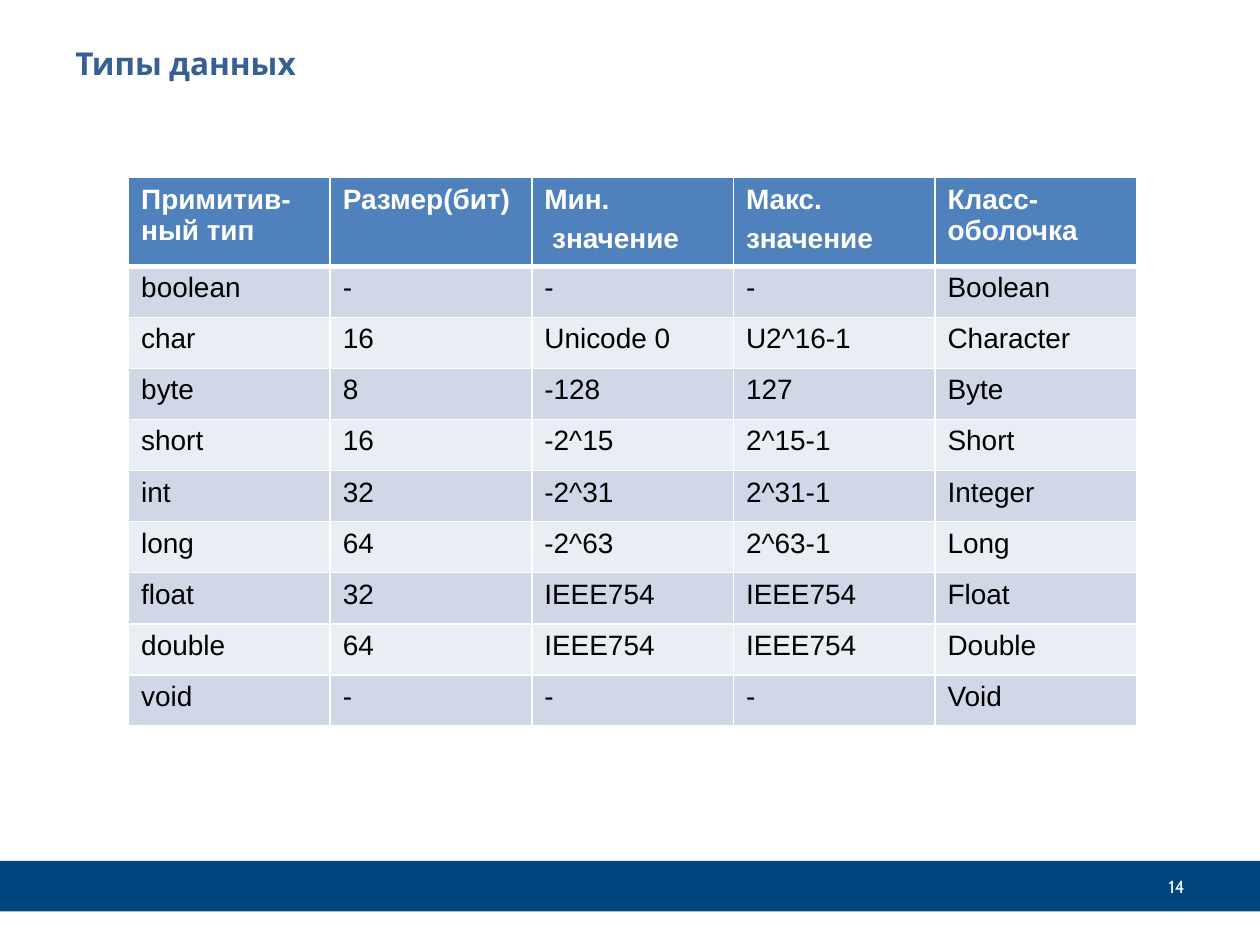
from dataclasses import dataclass
from lxml.etree import SubElement as Sub
from pptx import Presentation as Deck
from pptx.dml.color import RGBColor as Rgb
from pptx.enum.shapes import MSO_SHAPE as Kind
from pptx.enum.text import MSO_ANCHOR as Anchor, PP_ALIGN as Align
from pptx.oxml.ns import qn
from pptx.util import Pt


@dataclass(frozen=True)
class Theme:
    navy: str = "00467E"
    title: str = "376092"
    head: str = "4F81BD"
    bands: tuple = ("D0D8E8", "E9EDF4")
    white: str = "FFFFFF"
    black: str = "000000"
    big: int = 18
    body: int = 16
    small: int = 10
    sans: str = "Cabin"
    grid: str = "Arial"


class Painter:
    """Draws styled elements on the current slide."""

    def __init__(self, slide, theme):
        self.slide, self.theme = slide, theme

    def words(self, frame, text, color, gap=None, align=None, **form):
        for i, line in enumerate(text.split("\n")):
            para = frame.add_paragraph() if i else frame.paragraphs[0]
            para.alignment = align
            if gap:
                para.space_before = Pt(gap)
            run = para.add_run()
            run.text = line
            run.font.color.rgb = Rgb.from_string(color)
            for name, value in form.items():
                setattr(run.font, name, value)

    def label(self, box, text, color, anchor=Anchor.TOP, **form):
        frame = self.slide.shapes.add_textbox(*map(Pt, box)).text_frame
        frame.word_wrap = True
        frame.vertical_anchor = anchor
        self.words(frame, text, color, name=self.theme.sans, **form)

    def bar(self, box, color):
        shape = self.slide.shapes.add_shape(Kind.RECTANGLE, *map(Pt, box))
        shape.shadow.inherit = False
        shape.fill.solid()
        shape.fill.fore_color.rgb = Rgb.from_string(color)
        shape.line.fill.background()

    def edge(self, cell, sides):
        props = cell._tc.get_or_add_tcPr()
        for side, width in sides.items():
            line = Sub(props, qn(f"a:ln{side}"), w=str(Pt(width)))
            fill = Sub(line, qn("a:solidFill"))
            Sub(fill, qn("a:srgbClr"), val=self.theme.white)

    def table(self, box, rows, tall, gap):
        look = self.theme
        grid = self.slide.shapes.add_table(
            len(rows), len(rows[0]), *map(Pt, box)).table
        for col in grid.columns:
            col.width = Pt(box[2] / len(rows[0]))
        for r, row in enumerate(rows):
            grid.rows[r].height = Pt(tall[min(r, 1)])
            fill = look.bands[(r - 1) % 2] if r else look.head
            sides = {"L": 1, "R": 1, "T": 3 if r == 1 else 1, "B": 1 if r else 3}
            for c, text in enumerate(row):
                cell = grid.cell(r, c)
                self.edge(cell, sides)
                cell.fill.solid()
                cell.fill.fore_color.rgb = Rgb.from_string(fill)
                self.words(cell.text_frame, text, look.black if r else look.white,
                           gap=gap if "\n" in text else None, name=look.grid,
                           size=Pt(look.body), bold=not r)


ROWS = [
    ("Примитив-ный тип", "Размер(бит)", "Мин.\n значение",
     "Макс.\nзначение", "Класс-оболочка"),
    ("boolean", "-", "-", "-", "Boolean"),
    ("char", "16", "Unicode 0", "U2^16-1", "Character"),
    ("byte", "8", "-128", "127", "Byte"),
    ("short", "16", "-2^15", "2^15-1", "Short"),
    ("int", "32", "-2^31", "2^31-1", "Integer"),
    ("long", "64", "-2^63", "2^63-1", "Long"),
    ("float", "32", "IEEE754", "IEEE754", "Float"),
    ("double", "64", "IEEE754", "IEEE754", "Double"),
    ("void", "-", "-", "-", "Void"),
]


def main():
    deck = Deck()
    deck.slide_width, deck.slide_height = Pt(720), Pt(540)
    look = Theme()
    pen = Painter(deck.slides.add_slide(deck.slide_layouts[6]), look)
    pen.bar((0, 492, 720, 28.8), look.navy)
    pen.label((36, 21.6, 648, 56), "Типы данных", look.title,
              size=Pt(look.big), bold=True)
    pen.table((73.5, 101.5, 576, 310), ROWS, (47, 29.2), 5)
    pen.label((606, 492, 78, 28.8), "14", look.white, Anchor.MIDDLE,
              align=Align.RIGHT, size=Pt(look.small))
    deck.save("out.pptx")


if __name__ == "__main__":
    main()
